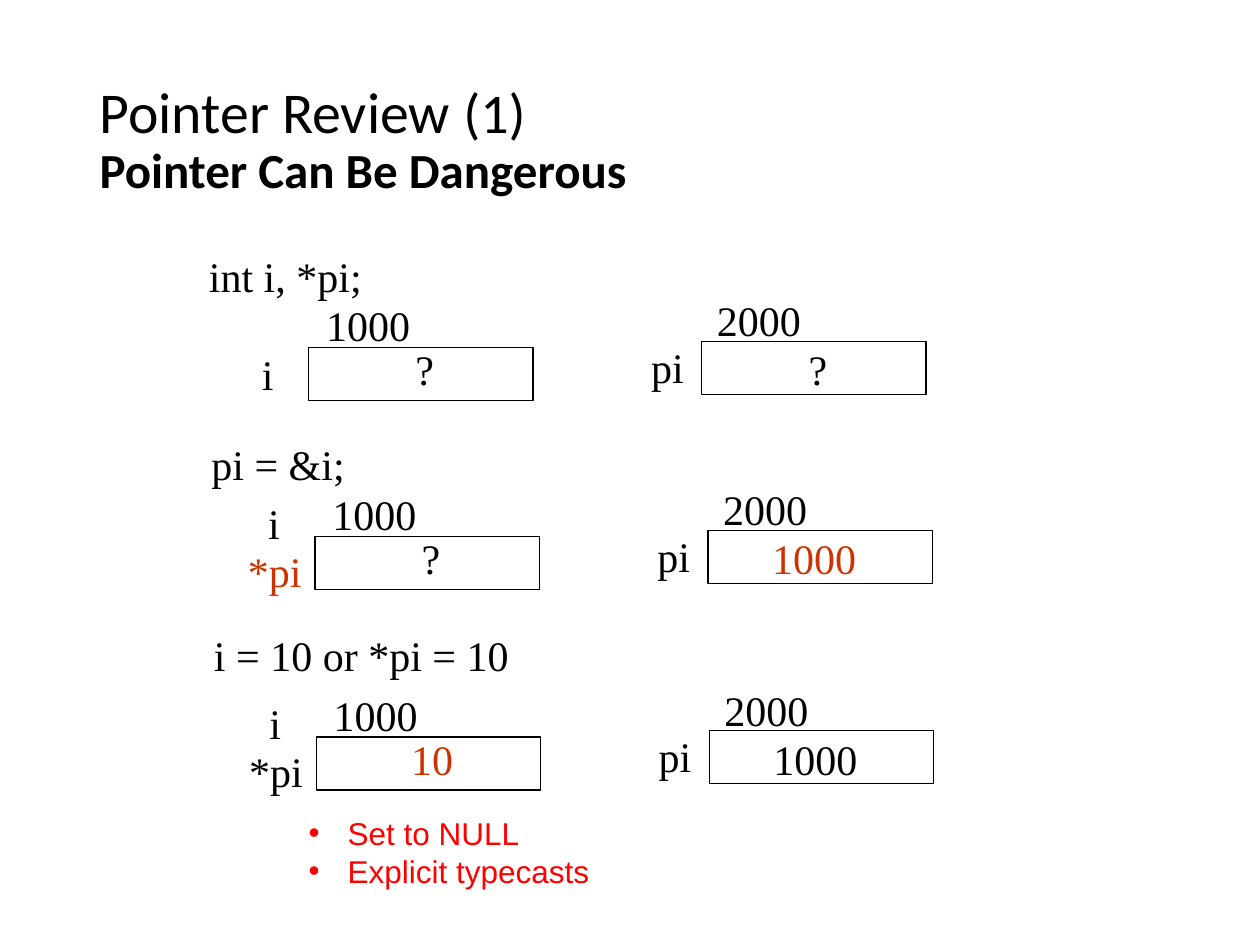
from pptx import Presentation
from pptx.dml.color import RGBColor
from pptx.enum.shapes import MSO_SHAPE
from pptx.enum.text import MSO_ANCHOR, MSO_AUTO_SIZE, PP_ALIGN
from pptx.oxml.ns import qn
from pptx.util import Inches, Pt
from lxml import etree

BLACK = RGBColor(0x00, 0x00, 0x00)
RUST = RGBColor(0xCC, 0x33, 0x00)
RED = RGBColor(0xFF, 0x00, 0x00)
RECTANGLE = MSO_SHAPE.RECTANGLE
MIDDLE, TOP = MSO_ANCHOR.MIDDLE, MSO_ANCHOR.TOP
GROW, FIXED = MSO_AUTO_SIZE.SHAPE_TO_FIT_TEXT, MSO_AUTO_SIZE.NONE
LEFT, CENTER = PP_ALIGN.LEFT, PP_ALIGN.CENTER

CELL_WIDTH, CELL_HEIGHT = 1.78, 0.42
LABEL_HEIGHT = 0.5
ADDRESS_WIDTH = 0.88
PI_CELL_X, PI_CELL_Y = 3.12, -0.05

# left and top place the cell of i; code is text, left, top, width;
# pi_value is text, offset, width, colour
STEPS = [
    dict(left=2.45, top=2.76, code=("int i, *pi;", 1.56, 1.94, 1.42),
         i_value=("?", 0.35, BLACK), pi_value=("?", 3.87, 0.35, BLACK), alias_color=None),
    dict(left=2.5, top=4.26, code=("pi = &i;", 1.58, 3.43, 1.26),
         i_value=("?", 0.35, BLACK), pi_value=("1000", 3.53, 1.35, RUST), alias_color=RUST),
    dict(left=2.51, top=5.85, code=("i = 10 or *pi = 10", 1.6, 4.95, 2.54),
         i_value=("10", 0.54, RUST), pi_value=("1000", 3.53, 1.35, BLACK), alias_color=BLACK),
]


def place(shape, left, top, width, height):
    shape.left, shape.top = Inches(left), Inches(top)
    shape.width, shape.height = Inches(width), Inches(height)


def set_font(font, name, size, color, bold=False):
    font.name, font.size, font.bold = name, Pt(size), bold
    font.color.rgb = color


def add_label(page, text, left, top, width, color=BLACK, align=LEFT, wrap=False):
    box = page.shapes.add_textbox(Inches(left), Inches(top), Inches(width), Inches(LABEL_HEIGHT))
    frame = box.text_frame
    frame.word_wrap = wrap
    frame.auto_size = GROW
    para = frame.paragraphs[0]
    para.alignment = align
    span = para.add_run()
    span.text = text
    set_font(span.font, "Times New Roman", 24, color)


def add_cell(page, left, top):
    cell = page.shapes.add_shape(RECTANGLE, Inches(left), Inches(top),
                                 Inches(CELL_WIDTH), Inches(CELL_HEIGHT))
    cell.shadow.inherit = False
    cell.fill.background()
    cell.line.color.rgb = BLACK
    cell.line.width = Pt(0.75)


def add_step(page, left, top, code, i_value, pi_value, alias_color):
    """Draw a line of code and the memory cells of i and pi after it."""
    add_label(page, *code)
    add_cell(page, left, top)
    add_cell(page, left + PI_CELL_X, top + PI_CELL_Y)
    name_rise = 0.36 if alias_color else 0.04
    add_label(page, "i", left - 0.47, top - name_rise, 0.29)
    add_label(page, "pi", left + 2.62, top - 0.1, 0.46)
    add_label(page, "1000", left + 0.04, top - 0.43, ADDRESS_WIDTH)
    add_label(page, "2000", left + 3.14, top - 0.47, ADDRESS_WIDTH)

    text, width, color = i_value
    add_label(page, text, left + 0.92 - width / 2, top - 0.08, width, color=color, align=CENTER)
    text, offset, width, color = pi_value
    add_label(page, text, left + offset, top - 0.08, width, color=color, wrap=width > 1)
    if alias_color:
        add_label(page, "*pi", left - 0.65, top + 0.02, 0.66, color=alias_color, align=CENTER)


def fill_title(title):
    place(title, 0.69, 0.4, 8.63, 1.45)
    frame = title.text_frame
    frame.auto_size = FIXED
    frame.vertical_anchor = MIDDLE
    para = frame.paragraphs[0]
    para.alignment = LEFT
    para.line_spacing = 0.9
    for text, size, bold in [("Pointer Review ", 33, False), ("(1)", 32, False),
                             ("Pointer Can Be Dangerous", 28, True)]:
        if bold:
            para.add_line_break()
        span = para.add_run()
        span.text = text
        set_font(span.font, "Calibri", size, BLACK, bold=bold)


def add_bullet(para, indent):
    properties = para._p.get_or_add_pPr()
    properties.set("marL", str(Inches(indent)))
    properties.set("indent", str(-Inches(indent)))
    color = etree.SubElement(properties, qn("a:buClr"))
    etree.SubElement(color, qn("a:srgbClr")).set("val", str(RED))
    etree.SubElement(properties, qn("a:buFont")).set("typeface", "Arial")
    etree.SubElement(properties, qn("a:buChar")).set("char", "•")


def fill_advice(body, lines):
    place(body, 2.35, 6.41, 5.06, 1)
    frame = body.text_frame
    frame.auto_size = FIXED
    frame.vertical_anchor = TOP
    for index, text in enumerate(lines):
        para = frame.paragraphs[0] if index == 0 else frame.add_paragraph()
        add_bullet(para, 0.31)
        para.space_before = Pt(0)
        span = para.add_run()
        span.text = text
        set_font(span.font, "Arial", 18, RED)


def main():
    deck = Presentation()
    deck.slide_width, deck.slide_height = Inches(10), Inches(7.5)
    page = deck.slides.add_slide(deck.slide_layouts[1])
    fill_title(page.shapes.title)
    for step in STEPS:
        add_step(page, **step)
    fill_advice(page.placeholders[1], ["Set to NULL", "Explicit typecasts"])
    deck.save("out.pptx")


if __name__ == "__main__":
    main()
